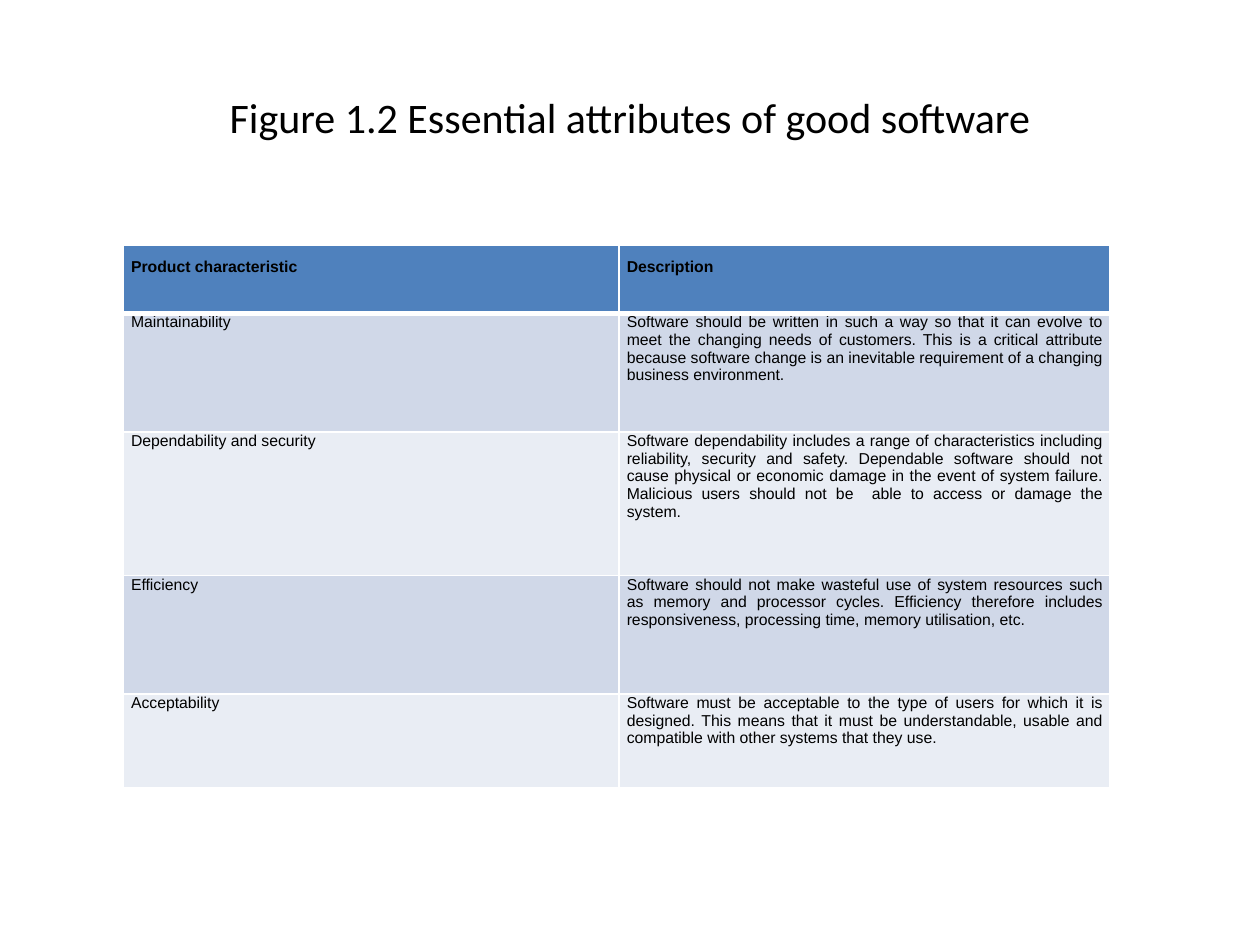
from lxml import etree
from pptx import Presentation
from pptx.dml.color import RGBColor
from pptx.enum.text import MSO_ANCHOR, PP_ALIGN
from pptx.oxml.ns import qn
from pptx.util import Inches, Pt

CENTER = PP_ALIGN.CENTER
JUSTIFY = PP_ALIGN.JUSTIFY
MIDDLE = MSO_ANCHOR.MIDDLE
TOP = MSO_ANCHOR.TOP

COLORS = {
    "text": "000000",
    "header": "4F81BD",
    "odd": "D0D8E8",
    "even": "E9EDF4",
    "border": "FFFFFF",
}

TITLE = "Figure 1.2 Essential attributes of good software"
COLUMN_WIDTHS = [3.94, 3.9]
ROW_HEIGHTS = [0.54, 0.94, 1.14, 0.94, 0.74]
ATTRIBUTES = [
    ("Product characteristic", "Description"),
    ("Maintainability",
     "Software should be written in such a way so that it can evolve to meet "
     "the changing needs of customers. This is a critical attribute because "
     "software change is an inevitable requirement of a changing business "
     "environment."),
    ("Dependability and security",
     "Software dependability includes a range of characteristics including "
     "reliability, security and safety. Dependable software should not cause "
     "physical or economic damage in the event of system failure. Malicious "
     "users should not be  able to access or damage the system."),
    ("Efficiency",
     "Software should not make wasteful use of system resources such as memory "
     "and processor cycles. Efficiency therefore includes responsiveness, "
     "processing time, memory utilisation, etc."),
    ("Acceptability",
     "Software must be acceptable to the type of users for which it is "
     "designed. This means that it must be understandable, usable and "
     "compatible with other systems that they use."),
]


def write_text(frame, text, align, font_name, size, bold=False):
    para = frame.paragraphs[0]
    para.text = text
    para.alignment = align
    para.font.name = font_name
    para.font.size = Pt(size)
    para.font.bold = bold
    para.font.color.rgb = RGBColor.from_string(COLORS["text"])


def set_borders(cell, widths):
    properties = cell._tc.get_or_add_tcPr()
    for position, (side, width) in enumerate(widths.items()):
        line = etree.Element(qn(f"a:ln{side}"), w=str(Pt(width)))
        fill = etree.SubElement(line, qn("a:solidFill"))
        etree.SubElement(fill, qn("a:srgbClr"), val=COLORS["border"])
        properties.insert(position, line)


def add_title(page, left, top, width, height):
    box = page.shapes.add_textbox(left, top, width, height)
    frame = box.text_frame
    frame.word_wrap = True
    frame.vertical_anchor = MIDDLE
    write_text(frame, TITLE, CENTER, "Calibri", 24)


def style_cell(cell, text, row_index):
    is_header = row_index == 0
    shade = "header" if is_header else "odd" if row_index % 2 else "even"
    cell.fill.solid()
    cell.fill.fore_color.rgb = RGBColor.from_string(COLORS[shade])
    cell.margin_left = cell.margin_right = Inches(0.06)
    cell.margin_top = Inches(0.1 if is_header else 0)
    cell.margin_bottom = Inches(0.1)
    cell.vertical_anchor = TOP
    write_text(cell.text_frame, text, JUSTIFY, "Arial", 9, is_header)
    set_borders(cell, {
        "L": 1,
        "R": 1,
        "T": 3 if row_index == 1 else 1,
        "B": 3 if is_header else 1,
    })


def add_attribute_table(page, left, top, width, height):
    table = page.shapes.add_table(
        len(ATTRIBUTES), len(COLUMN_WIDTHS), left, top, width, height).table
    for column, share in zip(table.columns, COLUMN_WIDTHS):
        column.width = int(width * share / sum(COLUMN_WIDTHS))
    for row, share in zip(table.rows, ROW_HEIGHTS):
        row.height = int(height * share / sum(ROW_HEIGHTS))
    for row_index, texts in enumerate(ATTRIBUTES):
        for column_index, text in enumerate(texts):
            style_cell(table.cell(row_index, column_index), text, row_index)


def main():
    deck = Presentation()
    deck.slide_width = Inches(10)
    deck.slide_height = Inches(7.5)
    page = deck.slides.add_slide(deck.slide_layouts[6])
    add_title(page, Inches(0.5), Inches(0.3), Inches(9), Inches(1.25))
    add_attribute_table(page, Inches(0.98), Inches(1.95), Inches(7.83), Inches(4.3))
    deck.save("out.pptx")


if __name__ == "__main__":
    main()
